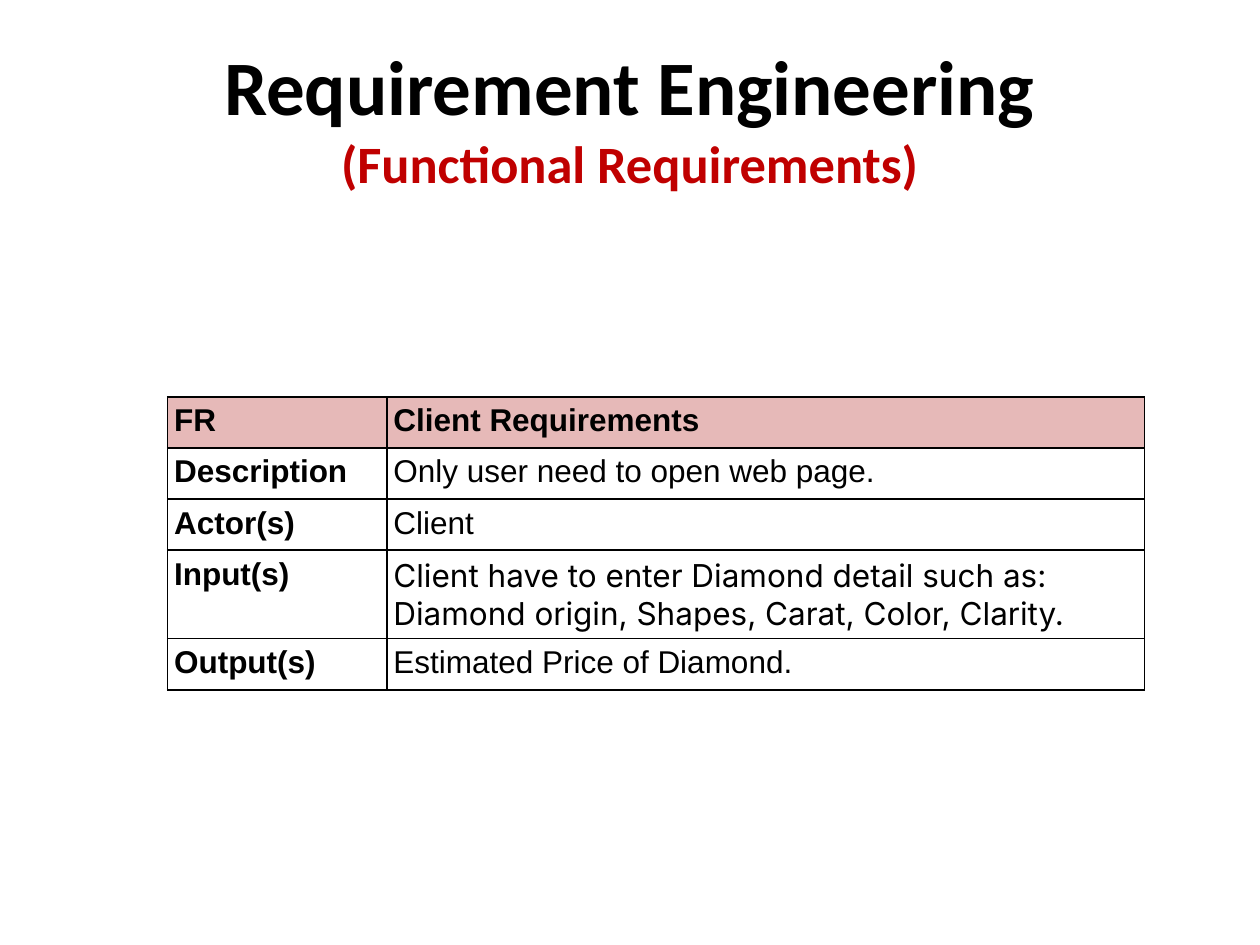
"""Build the functional requirements slide with its title and table."""
import dataclasses

import lxml.etree
import pptx
import pptx.dml.color
import pptx.enum.text
import pptx.oxml.ns
import pptx.util

Cm = pptx.util.Cm
Pt = pptx.util.Pt
RGB = pptx.dml.color.RGBColor.from_string


@dataclasses.dataclass(frozen=True)
class Theme:
    ink: str = "000000"
    accent: str = "C00000"
    header: str = "E6B9B8"
    title_font: str = "Calibri"
    body_font: str = "Arial"
    detail_font: str = "Inter"
    title_size: int = 44
    subtitle_size: int = 30
    body_size: int = 18
    border: int = 1
    inset: float = 0.13


class Builder:
    def __init__(self, slide, theme):
        self.slide = slide
        self.theme = theme

    def apply(self, obj, values):
        for name, value in values.items():
            setattr(obj, name, value)

    def insets(self, obj):
        sides = ("left", "right", "top", "bottom")
        self.apply(obj, {f"margin_{side}": Cm(self.theme.inset) for side in sides})

    def run(self, p, text, font, size, color, bold):
        r = p.add_run()
        r.text = text
        self.apply(r.font, {"name": font, "size": Pt(size), "bold": bold})
        r.font.color.rgb = RGB(color)

    def title(self, text, subtitle, box):
        t = self.theme
        tf = self.slide.shapes.add_textbox(*map(Cm, box)).text_frame
        self.insets(tf)
        self.apply(tf, {"word_wrap": True,
                        "vertical_anchor": pptx.enum.text.MSO_ANCHOR.MIDDLE})
        p = tf.paragraphs[0]
        p.alignment = pptx.enum.text.PP_ALIGN.CENTER
        self.run(p, text, t.title_font, t.title_size, t.ink, True)
        p.add_line_break()
        self.run(p, subtitle, t.title_font, t.subtitle_size, t.accent, True)

    def borders(self, cell):
        qn = pptx.oxml.ns.qn
        tc_pr = cell._tc.get_or_add_tcPr()
        for tag in ("a:lnL", "a:lnR", "a:lnT", "a:lnB"):
            ln = lxml.etree.SubElement(tc_pr, qn(tag), w=str(Pt(self.theme.border)))
            fill = lxml.etree.SubElement(ln, qn("a:solidFill"))
            lxml.etree.SubElement(fill, qn("a:srgbClr"), val=self.theme.ink)

    def cell(self, cell, lines, font, bold, fill):
        t = self.theme
        self.insets(cell)
        self.borders(cell)
        if fill:
            cell.fill.solid()
            cell.fill.fore_color.rgb = RGB(fill)
        else:
            cell.fill.background()
        tf = cell.text_frame
        for i, line in enumerate(lines):
            p = tf.add_paragraph() if i else tf.paragraphs[0]
            self.run(p, line, font, t.body_size, t.ink, bold)

    def table(self, rows, left, top, widths, row_height):
        t = self.theme
        frame = self.slide.shapes.add_table(
            len(rows), len(widths), Cm(left), Cm(top),
            Cm(sum(widths)), Cm(row_height * len(rows)))
        tbl = frame.table
        self.apply(tbl, {"first_row": False, "horz_banding": False})
        for col, width in zip(tbl.columns, widths):
            col.width = Cm(width)
        for i, (label, *lines) in enumerate(rows):
            fill = t.header if i == 0 else None
            font = t.detail_font if len(lines) > 1 else t.body_font
            self.cell(tbl.cell(i, 0), [label], t.body_font, True, fill)
            self.cell(tbl.cell(i, 1), lines, font, i == 0, fill)


REQUIREMENTS = [
    ("FR", "Client Requirements"),
    ("Description", "Only user need to open web page."),
    ("Actor(s)", "Client"),
    ("Input(s)", "Client have to enter Diamond detail such as:",
     "Diamond origin, Shapes, Carat, Color, Clarity."),
    ("Output(s)", "Estimated Price of Diamond."),
]


def main():
    prs = pptx.Presentation()
    prs.slide_width, prs.slide_height = Cm(25.4), Cm(19.05)
    s = Builder(prs.slides.add_slide(prs.slide_layouts[6]), Theme())
    s.title("Requirement Engineering", "(Functional Requirements)",
            (1.27, 0.76, 22.86, 3.18))
    s.table(REQUIREMENTS, 3.38, 8.0, (4.42, 15.27), 1.03)
    prs.save("out.pptx")


if __name__ == "__main__":
    main()
